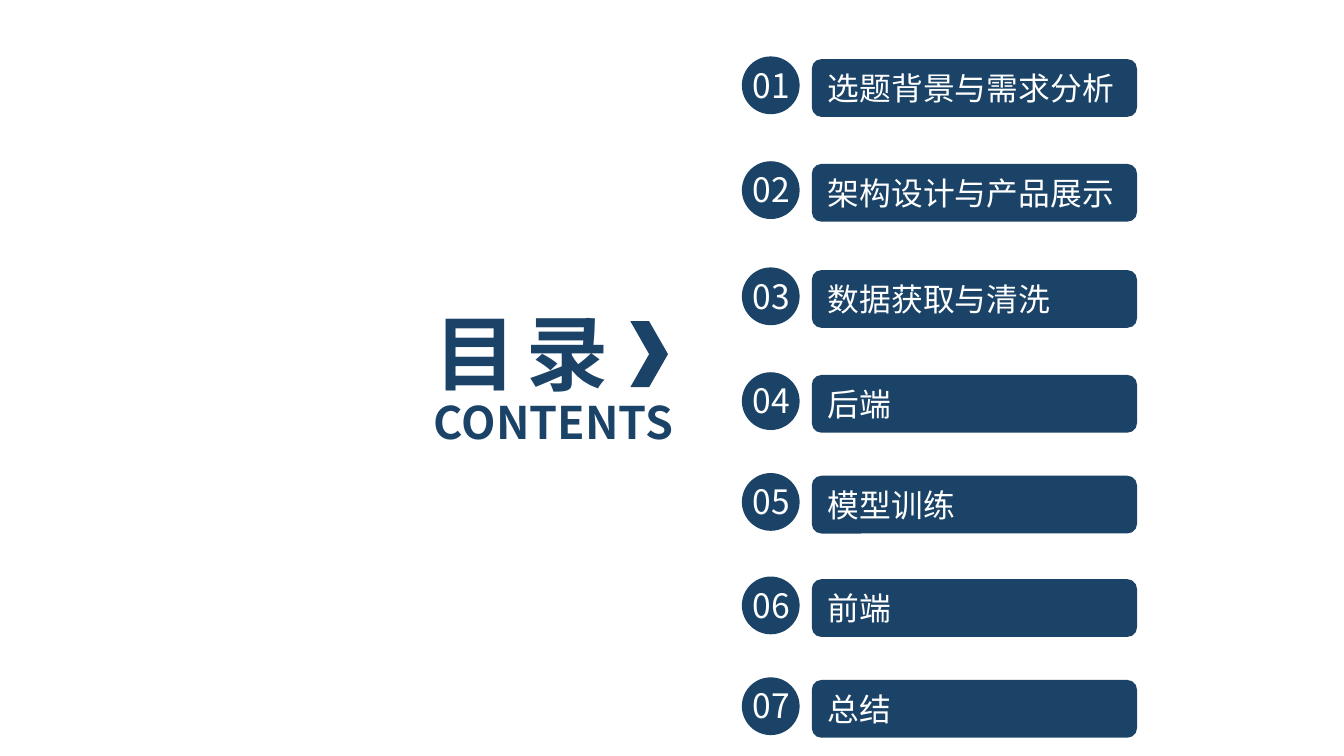
"""Build the contents slide with its seven numbered sections."""
from dataclasses import dataclass

from lxml import etree
from pptx import Presentation
from pptx.dml.color import RGBColor
from pptx.enum.shapes import MSO_SHAPE
from pptx.enum.text import MSO_ANCHOR, MSO_AUTO_SIZE, PP_ALIGN
from pptx.oxml.ns import qn
from pptx.util import Inches, Pt

PILL, CIRCLE, CHEVRON = MSO_SHAPE.ROUNDED_RECTANGLE, MSO_SHAPE.OVAL, MSO_SHAPE.CHEVRON
MIDDLE, NO_AUTOFIT = MSO_ANCHOR.MIDDLE, MSO_AUTO_SIZE.NONE
LEFT, CENTER = PP_ALIGN.LEFT, PP_ALIGN.CENTER


@dataclass(frozen=True)
class Theme:
    """Colours, font and type sizes."""
    navy: RGBColor = RGBColor(0x1B, 0x43, 0x67)
    white: RGBColor = RGBColor(0xFF, 0xFF, 0xFF)
    font: str = "Noto Sans CJK SC"
    title: int = 44
    subtitle: int = 24
    number: int = 18
    section: int = 17


SECTIONS = [
    ("选题背景与需求分析", 0.44),
    ("架构设计与产品展示", 1.22),
    ("数据获取与清洗", 2.01),
    ("后端", 2.79),
    ("模型训练", 3.54),
    ("前端", 4.31),
    ("总结", 5.06),
]


def write(shape, text, *, font, size, color, bold=False, align=LEFT, inset=0.1, spacing=0):
    """Put one formatted line of text into a shape."""
    frame = shape.text_frame
    frame.auto_size = NO_AUTOFIT
    frame.word_wrap = False
    frame.vertical_anchor = MIDDLE
    frame.margin_left = frame.margin_right = Inches(inset)
    frame.margin_top = frame.margin_bottom = 0
    line = frame.paragraphs[0]
    line.alignment = align
    run = line.add_run()
    run.text = text
    run.font.name = font
    run.font.size = Pt(size)
    run.font.bold = bold
    run.font.color.rgb = color
    properties = run.font._element
    etree.SubElement(properties, qn("a:ea")).set("typeface", font)
    if spacing:
        properties.set("spc", str(round(spacing * 100)))


class ContentsSlide:
    """Hold the theme and the slide, and draw its elements."""

    def __init__(self, presentation, theme):
        self.theme = theme
        self.slide = presentation.slides.add_slide(presentation.slide_layouts[5])

    def title(self, text, left, top, width, height):
        """Place and format the title placeholder."""
        heading = self.slide.shapes.title
        heading.left, heading.top = Inches(left), Inches(top)
        heading.width, heading.height = Inches(width), Inches(height)
        write(heading, text, font=self.theme.font, size=self.theme.title,
              color=self.theme.navy, bold=True, spacing=-2.2)

    def label(self, text, left, top, width, height, parent=None, **style):
        """Add a text box to the slide or to a group."""
        box = (parent or self.slide).shapes.add_textbox(
            Inches(left), Inches(top), Inches(width), Inches(height))
        write(box, text, font=self.theme.font, **style)

    def block(self, kind, left, top, width, height, parent=None):
        """Add a plain navy shape to the slide or to a group."""
        shape = (parent or self.slide).shapes.add_shape(
            kind, Inches(left), Inches(top), Inches(width), Inches(height))
        shape.shadow.inherit = False
        shape.fill.solid()
        shape.fill.fore_color.rgb = self.theme.navy
        shape.line.fill.background()
        return shape

    def section(self, number, name, top):
        """Add a section bar and its number badge."""
        bar = self.block(PILL, 6.04, top, 2.42, 0.43)
        write(bar, name, font=self.theme.font, size=self.theme.section,
              color=self.theme.white)
        badge = self.slide.shapes.add_group_shape()
        self.block(CIRCLE, 5.52, top - 0.02, 0.43, 0.43, parent=badge)
        self.label(f"{number:02d}", 5.48, top - 0.01, 0.52, 0.4, parent=badge,
                   size=self.theme.number, color=self.theme.white, align=CENTER, inset=0)


def main():
    """Build and save the presentation."""
    presentation = Presentation()
    presentation.slide_width = Inches(10)
    presentation.slide_height = presentation.slide_width * 9 // 16
    theme = Theme()
    contents = ContentsSlide(presentation, theme)
    contents.title("目 录", 3.13, 2.2, 2.35, 0.84)
    contents.label("CONTENTS", 3.13, 2.89, 2.31, 0.5,
                   size=theme.subtitle, color=theme.navy, bold=True)
    contents.block(CHEVRON, 4.69, 2.39, 0.28, 0.49)
    for number, (name, top) in enumerate(SECTIONS, start=1):
        contents.section(number, name, top)
    presentation.save("out.pptx")


if __name__ == "__main__":
    main()
